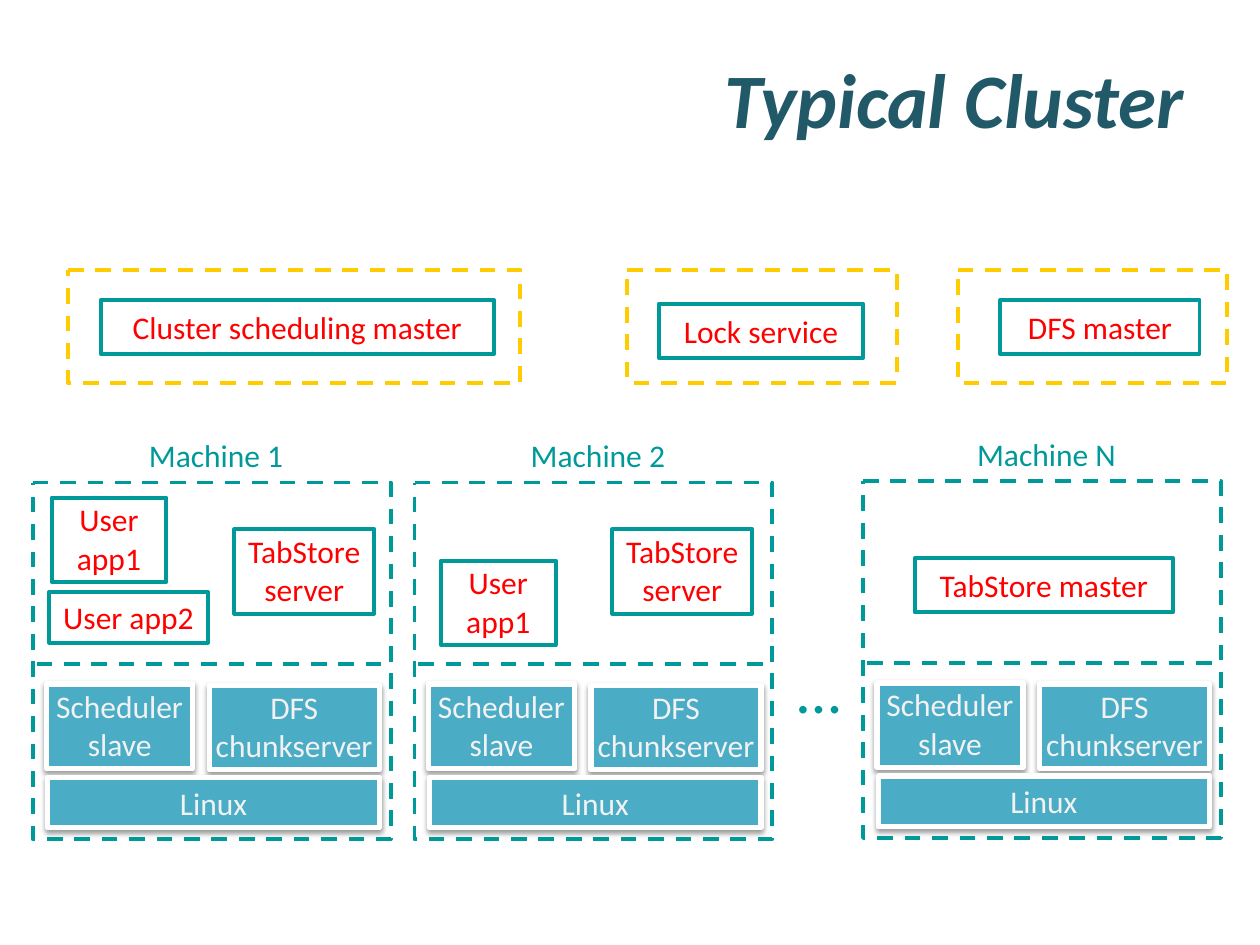
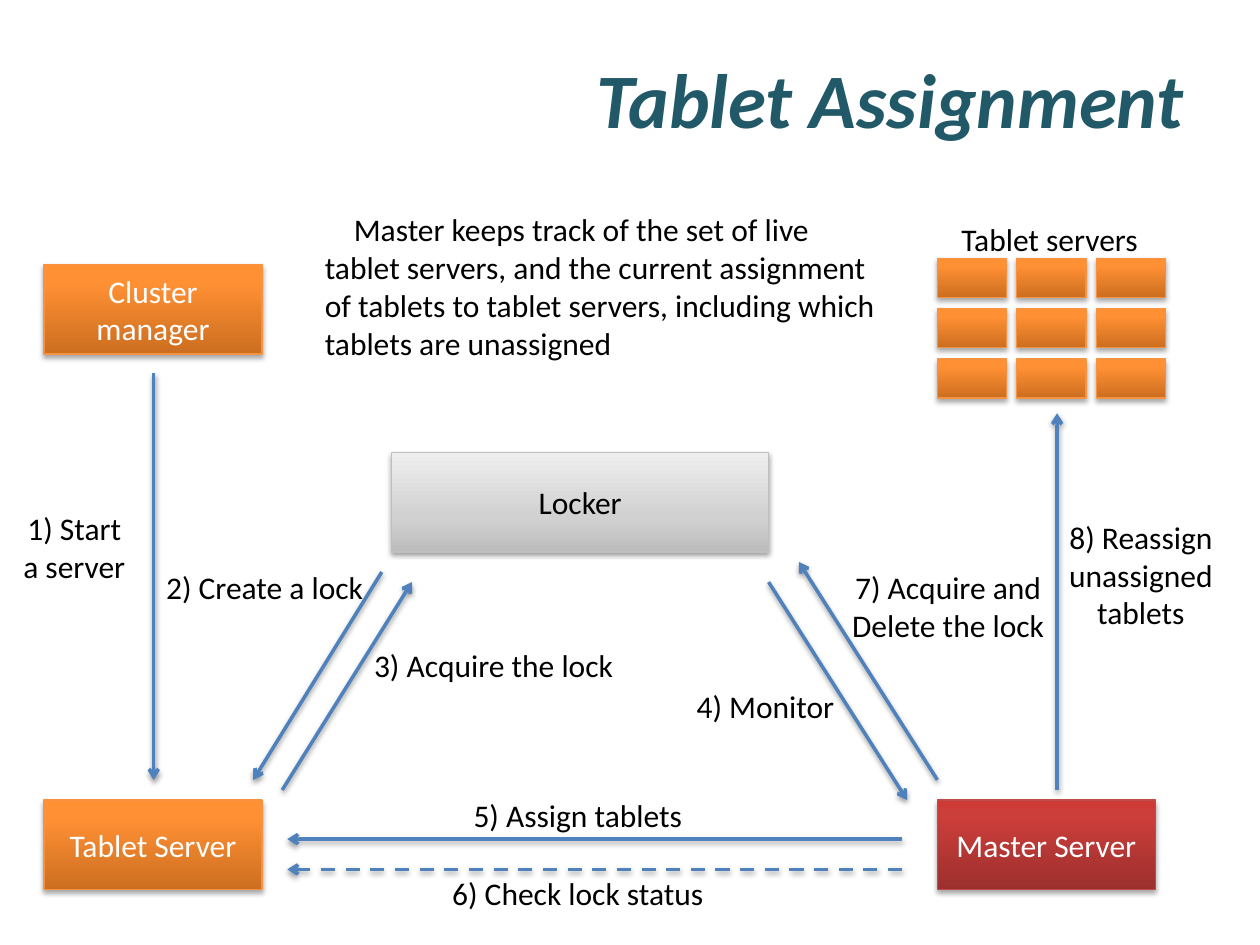
from dataclasses import dataclass
from itertools import product
from lxml import etree
from pptx import Presentation
from pptx.dml.color import RGBColor
from pptx.enum.dml import MSO_LINE
from pptx.enum.shapes import MSO_CONNECTOR, MSO_SHAPE
from pptx.enum.text import MSO_ANCHOR, PP_ALIGN
from pptx.oxml.ns import qn
from pptx.util import Inches, Pt

LEFT, CENTER, RIGHT = PP_ALIGN.LEFT, PP_ALIGN.CENTER, PP_ALIGN.RIGHT
TOP, MIDDLE = MSO_ANCHOR.TOP, MSO_ANCHOR.MIDDLE
RECT, ROUND = MSO_SHAPE.RECTANGLE, MSO_SHAPE.ROUNDED_RECTANGLE
STRAIGHT, DASH = MSO_CONNECTOR.STRAIGHT, MSO_LINE.DASH


@dataclass(frozen=True)
class Theme:
    font: str = "Calibri"
    title: str = "215968"
    teal: str = "009999"
    yellow: str = "FFCC00"
    red: str = "FF0000"
    blue: str = "4BACC6"
    pale: str = "F2F2F2"
    white: str = "FFFFFF"
    black: str = "000000"
    arrow: str = "4F81BD"
    title_size: int = 44
    body_size: int = 18
    dots_size: int = 36
    outline: float = 2.25
    tight: float = 0.93


@dataclass(frozen=True)
class Gradient:
    stops: tuple
    line: str
    text: str
    alpha: int
    drop: float


T = Theme()
ORANGE = Gradient(((0, "CC6E20"), (80, "FF9034"), (100, "FF9136")), "F69240", T.white, 35, 1.8)
CRIMSON = Gradient(((0, "9C2F2D"), (80, "CB3E3A"), (100, "CE3B37")), "BF4C48", T.white, 35, 1.8)
GREY = Gradient(((0, "BDBDBD"), (35, "D1D1D1"), (100, "EEEEEE")), "BFBFBF", T.black, 38, 1.6)

SERVICES = [
    ((0.54, 2.14, 3.59, 0.9), (0.8, 2.38, 3.12, 0.43), "Cluster scheduling master"),
    ((4.98, 2.14, 2.14, 0.9), (5.23, 2.41, 1.62, 0.43), "Lock service"),
    ((7.6, 2.14, 2.14, 0.9), (7.94, 2.38, 1.58, 0.43), "DFS master"),
]
MACHINES = [
    ("Machine 1", 0.26, 3.83),
    ("Machine 2", 3.29, 3.83),
    ("Machine N", 6.85, 3.82),
]
MACHINE_SIZE = (2.84, 2.83)
SYSTEM_PARTS = [
    ((0.11, 1.6, 1.16, 0.67), ["Scheduler", "slave"]),
    ((1.4, 1.61, 1.35, 0.67), ["DFS", "chunkserver"]),
    ((0.12, 2.34, 2.63, 0.4), ["Linux"]),
]
APPS = [
    ((0.41, 3.95, 0.91, 0.67), ["User", "app1"]),
    ((0.39, 4.7, 1.26, 0.4), ["User app2"]),
    ((1.86, 4.2, 1.11, 0.67), ["TabStore", "server"]),
    ((3.5, 4.45, 0.91, 0.67), ["User", "app1"]),
    ((4.86, 4.2, 1.11, 0.67), ["TabStore", "server"]),
    ((7.26, 4.43, 2.05, 0.43), ["TabStore master"]),
]

NODES = [
    ((3.11, 3.59, 2.99, 0.79), "Locker", GREY),
    ((0.35, 2.1, 1.73, 0.71), "Cluster manager", ORANGE),
    ((0.35, 6.35, 1.73, 0.71), "Tablet Server", ORANGE),
    ((7.44, 6.35, 1.73, 0.71), "Master Server", CRIMSON),
]
GRID_ORIGIN, GRID_STEP, GRID_CELL = (7.44, 2.05), (0.63, 0.4), (0.55, 0.31)
ARROWS = [
    ((1.22, 2.96), (1.22, 6.19), None),
    ((2.24, 6.27), (3.27, 4.62), None),
    ((3.03, 4.54), (2.01, 6.19), None),
    ((6.1, 4.62), (7.2, 6.35), None),
    ((7.44, 6.19), (6.34, 4.46), None),
    ((8.39, 6.27), (8.39, 3.28), None),
    ((7.16, 6.66), (2.28, 6.66), None),
    ((7.16, 6.9), (2.28, 6.9), DASH),
]
SUMMARY = ("Master keeps track of the set of live tablet servers, and the current "
           "assignment of tablets to tablet servers, including which tablets are unassigned")
LABELS = [
    ((0.04, 3.99, 1.1, 0.71), ["1) Start a server"], CENTER, True),
    ((1.22, 4.46, 1.79, 0.4), ["2) Create a lock"], LEFT, False),
    ((2.87, 5.08, 2.18, 0.4), ["3) Acquire the lock"], LEFT, False),
    ((5.43, 5.4, 1.31, 0.4), ["4) Monitor"], LEFT, False),
    ((3.66, 6.27, 1.88, 0.4), ["5) Assign tablets"], LEFT, False),
    ((3.49, 6.89, 2.22, 0.4), ["6) Check lock status"], LEFT, False),
    ((6.5, 4.46, 2.05, 0.71), ["7) Acquire and", "Delete the lock"], CENTER, True),
    ((8.15, 4.06, 1.81, 1.01), ["8) Reassign unassigned tablets"], CENTER, True),
    ((7.52, 1.7, 1.62, 0.4), ["Tablet servers"], CENTER, False),
]


def rgb(value):
    return RGBColor.from_string(value)


def color_xml(parent, value, alpha=None):
    node = etree.SubElement(parent, qn("a:srgbClr"), val=value)
    if alpha is not None:
        etree.SubElement(node, qn("a:alpha"), val=str(alpha * 1000))


def set_effects(sp, shadow=None):
    props = sp._element.spPr
    effects = props.find(qn("a:effectLst"))
    if effects is None:
        effects = etree.SubElement(props, qn("a:effectLst"))
    if shadow:
        alpha, drop = shadow
        outer = etree.SubElement(effects, qn("a:outerShdw"), blurRad=str(Pt(3.1)),
                                 dist=str(Pt(drop)), dir="5400000", rotWithShape="0")
        color_xml(outer, T.black, alpha)


def set_line(sp, color, width, dash=None):
    sp.line.color.rgb = rgb(color)
    sp.line.width = Pt(width)
    if dash:
        sp.line.dash_style = dash


def set_gradient(sp, stops):
    sp.fill.gradient()
    grad = sp._element.spPr.find(qn("a:gradFill"))
    for child in list(grad):
        grad.remove(child)
    stop_list = etree.SubElement(grad, qn("a:gsLst"))
    for position, color in stops:
        color_xml(etree.SubElement(stop_list, qn("a:gs"), pos=str(position * 1000)), color)
    etree.SubElement(grad, qn("a:lin"), ang="16200000", scaled="0")


def write(sp, lines, color, size=T.body_size, align=CENTER, anchor=MIDDLE,
          wrap=False, tight=False, bold=None, indent=0):
    tf = sp.text_frame
    tf.word_wrap = wrap
    tf.vertical_anchor = anchor
    for i, line in enumerate(lines):
        p = tf.paragraphs[0] if i == 0 else tf.add_paragraph()
        p.text = line
        p.alignment = align
        if tight and i == 0:
            p.line_spacing = T.tight
        if indent:
            p._p.get_or_add_pPr().set("indent", str(Inches(indent)))
        p.font.name = T.font
        p.font.size = Pt(size)
        p.font.color.rgb = rgb(color)
        p.font.bold = p.font.italic = bold


def add_text(s, box, lines, color, **style):
    sp = s.shapes.add_textbox(*map(Inches, box))
    write(sp, lines, color, **style)


def add_box(s, box, color, width=T.outline, fill=None, dash=None, preset=ROUND, shadow=None):
    sp = s.shapes.add_shape(preset, *map(Inches, box))
    if preset == ROUND:
        sp.adjustments[0] = 0
    if isinstance(fill, tuple):
        set_gradient(sp, fill)
    elif fill:
        sp.fill.solid()
        sp.fill.fore_color.rgb = rgb(fill)
    else:
        sp.fill.background()
    set_line(sp, color, width, dash)
    sp.shadow.inherit = False
    set_effects(sp, shadow)
    return sp


def add_node(s, box, look):
    return add_box(s, box, look.line, 0.75, look.stops, preset=RECT,
                   shadow=(look.alpha, look.drop))


def add_line(s, start, end, color, width, dash=None, arrow=False):
    sp = s.shapes.add_connector(STRAIGHT, *map(Inches, start + end))
    set_line(sp, color, width, dash)
    if arrow:
        etree.SubElement(sp.line._get_or_add_ln(), qn("a:tailEnd"), type="arrow")
    set_effects(sp, (38, 1.6) if arrow else None)


def add_slide(prs, title):
    s = prs.slides.add_slide(prs.slide_layouts[6])
    add_text(s, (0.5, 0.3, 9, 0.95), [title], T.title, size=T.title_size,
             align=RIGHT, anchor=MIDDLE, wrap=True, bold=True)
    return s


def add_machine(s, name, x, y):
    width, height = MACHINE_SIZE
    for (dx, dy, w, h), lines in SYSTEM_PARTS:
        sp = add_box(s, (x + dx, y + dy, w, h), T.white, 3, T.blue, shadow=(38, 1.6))
        write(sp, lines, T.pale, tight=len(lines) > 1)
    add_box(s, (x, y, width, height), T.teal, dash=DASH)
    add_line(s, (x + 0.03, y + 1.44), (x + 2.8, y + 1.44), T.teal, T.outline, DASH)
    add_text(s, (x + 0.78, y - 0.39, 1.35, 0.4), [name], T.teal, anchor=TOP, tight=True)


def build_cluster(prs):
    s = add_slide(prs, "Typical Cluster")
    for frame, box, name in SERVICES:
        add_box(s, frame, T.yellow, dash=DASH)
        write(add_box(s, box, T.teal), [name], T.red)
    for machine in MACHINES:
        add_machine(s, *machine)
    for box, lines in APPS:
        write(add_box(s, box, T.teal), lines, T.red, tight=len(lines) > 1)
    add_text(s, (6.15, 5.17, 0.7, 0.7), ["…"], T.teal, size=T.dots_size,
             anchor=TOP, tight=True)


def build_assignment(prs):
    s = add_slide(prs, "Tablet Assignment")
    for box, name, look in NODES:
        write(add_node(s, box, look), [name], look.text, wrap=True)
    (x, y), (dx, dy) = GRID_ORIGIN, GRID_STEP
    for row, col in product(range(3), repeat=2):
        add_node(s, (x + col * dx, y + row * dy) + GRID_CELL, ORANGE)
    for start, end, dash in ARROWS:
        add_line(s, start, end, T.arrow, 2, dash, arrow=True)
    add_text(s, (2.48, 1.62, 4.57, 1.31), [SUMMARY], T.black, align=LEFT,
             anchor=TOP, wrap=True, indent=0.23)
    for box, lines, align, wrap in LABELS:
        add_text(s, box, lines, T.black, align=align, anchor=TOP, wrap=wrap)


def main():
    prs = Presentation()
    prs.slide_width, prs.slide_height = Inches(10), Inches(7.5)
    build_cluster(prs)
    build_assignment(prs)
    prs.save("out.pptx")


if __name__ == "__main__":
    main()
